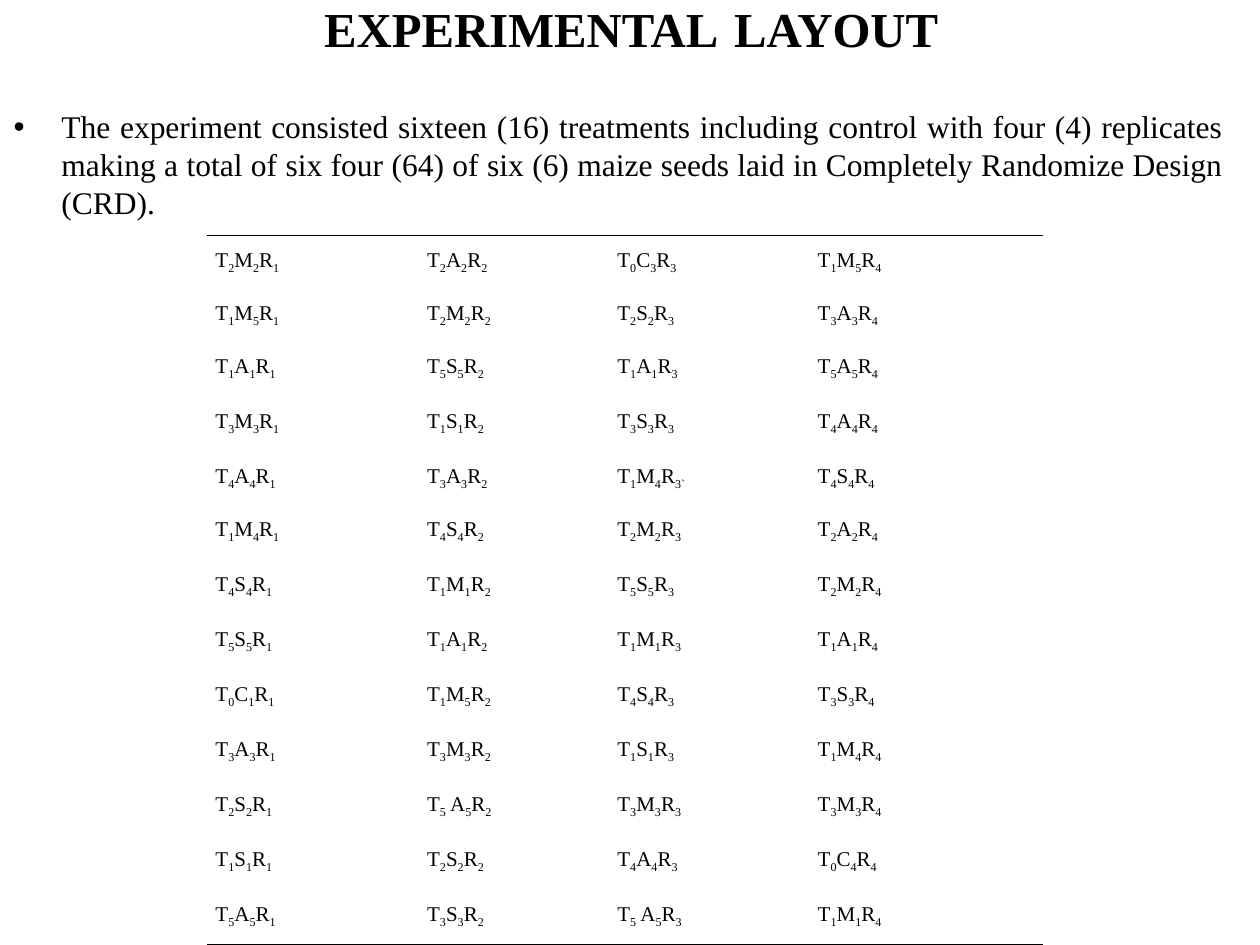
from dataclasses import dataclass
from itertools import groupby

from lxml.etree import SubElement
from pptx import Presentation
from pptx.dml.color import RGBColor
from pptx.enum.text import MSO_ANCHOR, PP_ALIGN
from pptx.oxml.ns import qn
from pptx.util import Inches, Pt


@dataclass(frozen=True)
class Theme:
    ink: str = "000000"
    serif: str = "Times New Roman"
    sans: str = "Calibri"
    head: float = 27.9
    gap: float = 39.6
    body: float = 18
    cell: float = 12
    rule: float = 1


THEME = Theme()
PLAIN = "{2D5ABB26-0587-4C30-8999-92F81FD0307C}"  # table style without grid
NOTE = (
    "The experiment consisted sixteen (16) treatments including control with "
    "four (4) replicates making a total of six four (64) of six (6) maize seeds "
    "laid in Completely Randomize Design (CRD)."
)
COLS = (1.68, 1.51, 1.59, 1.86)
LOW = {0, 1, 4}  # rows a little lower than the rest
LEFT = {1, 4}  # rows that are not justified
PLOTS = [line.split(", ") for line in (
    "T2M2R1, T2A2R2, T0C3R3, T1M5R4",
    "T1M5R1, T2M2R2, T2S2R3, T3A3R4",
    "T1A1R1, T5S5R2, T1A1R3, T5A5R4",
    "T3M3R1, T1S1R2, T3S3R3, T4A4R4",
    "T4A4R1, T3A3R2, T1M4R3`, T4S4R4",
    "T1M4R1, T4S4R2, T2M2R3, T2A2R4",
    "T4S4R1, T1M1R2, T5S5R3, T2M2R4",
    "T5S5R1, T1A1R2, T1M1R3, T1A1R4",
    "T0C1R1, T1M5R2, T4S4R3, T3S3R4",
    "T3A3R1, T3M3R2, T1S1R3, T1M4R4",
    "T2S2R1, T5 A5R2, T3M3R3, T3M3R4",
    "T1S1R1, T2S2R2, T4A4R3, T0C4R4",
    "T5A5R1, T3S3R2, T5 A5R3, T1M1R4",
)]


def apply(item, **values):
    for name, value in values.items():
        setattr(item, name, value)


def add_run(para, text, size, face=THEME.serif, bold=False):
    run = para.add_run()
    run.text = text
    apply(run.font, size=Pt(size), name=face, bold=bold)
    run.font.color.rgb = RGBColor.from_string(THEME.ink)
    return run


def add_box(slide, box, **values):
    frame = slide.shapes.add_textbox(*map(Inches, box)).text_frame
    apply(frame, word_wrap=True, **values)
    return frame.paragraphs[0]


def add_title(slide, box):
    para = add_box(slide, box, vertical_anchor=MSO_ANCHOR.MIDDLE,
                   margin_top=Inches(0.11))
    para.alignment = PP_ALIGN.CENTER
    add_run(para, "EXPERIMENTAL", THEME.head, bold=True)
    add_run(para, " ", THEME.gap, THEME.sans, bold=True)
    add_run(para, "LAYOUT", THEME.head, bold=True)


def add_note(slide, box):
    para = add_box(slide, box, margin_top=Inches(0.41))
    props = para._p.get_or_add_pPr()
    props.set("marL", str(Inches(0.38)))
    props.set("indent", str(-Inches(0.38)))
    SubElement(props, qn("a:buFont"), typeface="Arial")
    SubElement(props, qn("a:buChar"), char="•")
    apply(para, alignment=PP_ALIGN.JUSTIFY, line_spacing=Pt(21.7))
    add_run(para, NOTE, THEME.body)


def add_rule(cell, side):
    line = SubElement(cell._tc.get_or_add_tcPr(), qn(f"a:{side}"),
                      w=str(Pt(THEME.rule)))
    fill = SubElement(line, qn("a:solidFill"))
    SubElement(fill, qn("a:srgbClr"), val=THEME.ink)


def add_code(para, code):
    # Digits and marks sit below the line, letters on it
    for base, part in groupby(code, lambda c: c.isalpha() or c == " "):
        run = add_run(para, "".join(part), THEME.cell)
        if not base:
            run._r.get_or_add_rPr().set("baseline", "-25000")


def add_plots(slide, box):
    last = len(PLOTS) - 1
    table = slide.shapes.add_table(
        len(PLOTS), len(COLS), *map(Inches, box)).table
    apply(table, first_row=False, horz_banding=False)
    table._tbl.tblPr.find(qn("a:tableStyleId")).text = PLAIN
    for col, width in zip(table.columns, COLS):
        col.width = Inches(width)
    low = 0.42
    tall = (box[3] - low * len(LOW)) / (len(PLOTS) - len(LOW))
    for r, codes in enumerate(PLOTS):
        table.rows[r].height = Inches(low if r in LOW else tall)
        for c, code in enumerate(codes):
            cell = table.cell(r, c)
            apply(cell, margin_left=Inches(0.07), margin_right=Inches(0.07),
                  margin_top=0, margin_bottom=0)
            if r == 0:
                add_rule(cell, "lnT")
            if r == last:
                add_rule(cell, "lnB")
            cell.fill.background()
            para = cell.text_frame.paragraphs[0]
            side = PP_ALIGN.LEFT if r in LEFT else PP_ALIGN.JUSTIFY
            apply(para, line_spacing=1.5, alignment=side)
            add_code(para, code)


def main():
    deck = Presentation()
    apply(deck, slide_width=Inches(10), slide_height=Inches(7.5))
    slide = deck.slides.add_slide(deck.slide_layouts[6])
    add_title(slide, (0.51, -0.34, 9, 0.94))
    add_note(slide, (0.01, 0.44, 9.8, 4.95))
    add_plots(slide, (1.64, 1.87, 6.64, 5.63))
    deck.save("out.pptx")


if __name__ == "__main__":
    main()
